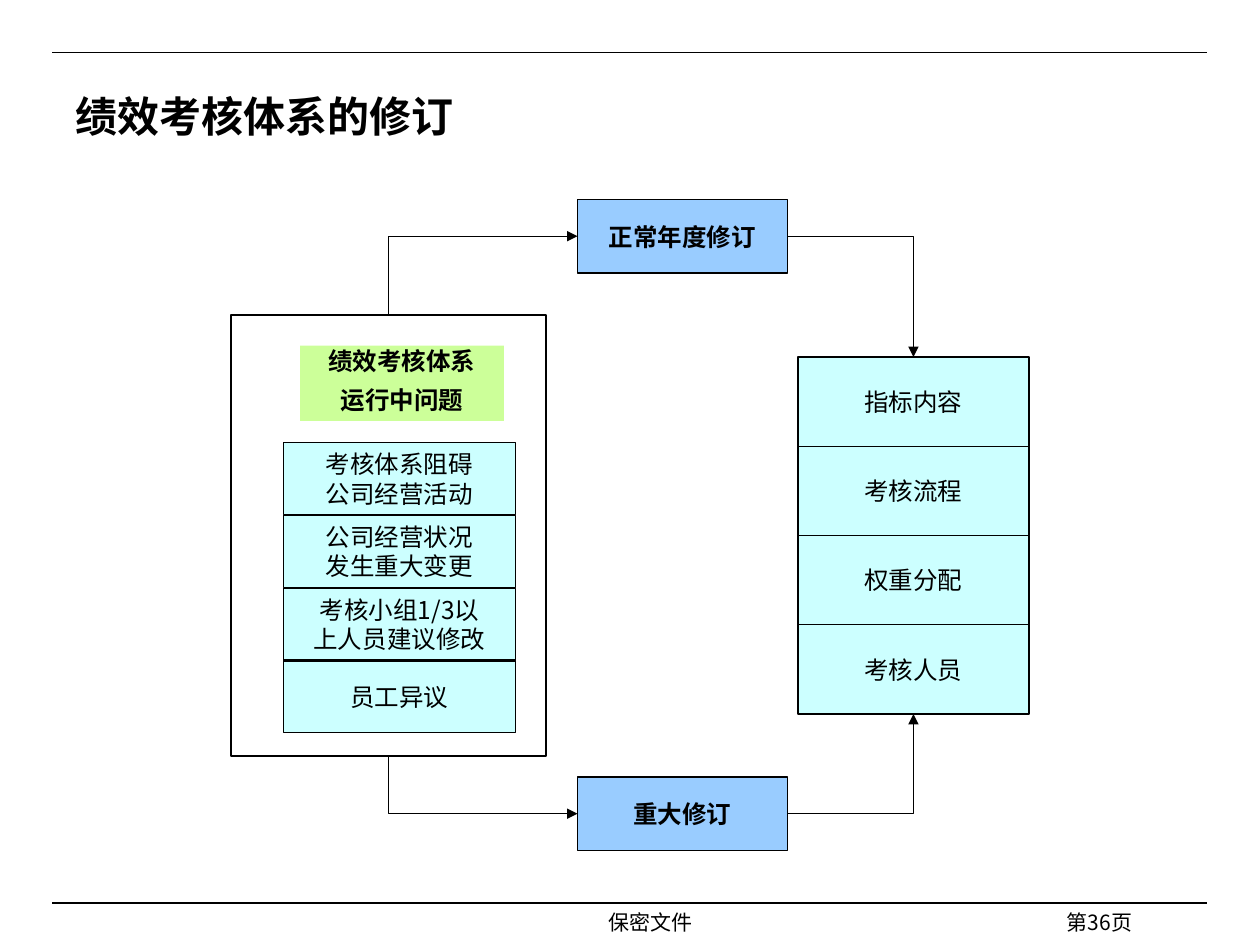
from lxml.etree import SubElement
from pptx import Presentation
from pptx.dml.color import RGBColor
from pptx.enum.shapes import MSO_CONNECTOR, MSO_SHAPE
from pptx.enum.text import MSO_ANCHOR, MSO_AUTO_SIZE, PP_ALIGN
from pptx.oxml.ns import qn
from pptx.util import Pt

BLACK = RGBColor(0x00, 0x00, 0x00)
CYAN = RGBColor(0xCC, 0xFF, 0xFF)
BLUE = RGBColor(0x99, 0xCC, 0xFF)
GREEN = RGBColor(0xCC, 0xFF, 0x99)
SANS = "Noto Sans CJK SC"
SERIF = "Times New Roman"
TOP, LEFT, BOTTOM, RIGHT = range(4)

PROBLEMS = [
    ["考核体系阻碍", "公司经营活动"],
    ["公司经营状况", "发生重大变更"],
    ["考核小组1/3以", "上人员建议修改"],
    ["员工异议"],
]
REVISED_ITEMS = ["指标内容", "考核流程", "权重分配", "考核人员"]


def write(tf, lines, size, bold=False, align=PP_ALIGN.CENTER, anchor=MSO_ANCHOR.MIDDLE, wrap=True):
    tf.word_wrap = wrap
    tf.vertical_anchor = anchor
    for i, line in enumerate(lines):
        p = tf.paragraphs[0] if i == 0 else tf.add_paragraph()
        p.text = line
        p.alignment = align
        p.font.name = SERIF if bold else SANS
        p.font.size = Pt(size)
        p.font.bold = bold
        p.font.color.rgb = BLACK
        SubElement(p.font._element, qn("a:ea"), typeface=SANS)


def add_box(s, x, y, w, h, fill=None, outlined=True):
    sp = s.shapes.add_shape(MSO_SHAPE.RECTANGLE, Pt(x), Pt(y), Pt(w), Pt(h))
    sp.shadow.inherit = False
    if fill is None:
        sp.fill.background()
    else:
        sp.fill.solid()
        sp.fill.fore_color.rgb = fill
    if outlined:
        sp.line.color.rgb = BLACK
        sp.line.width = Pt(0.75)
    else:
        sp.line.fill.background()
    return sp


def add_label_box(s, x, y, w, h, fill, lines, bold=False):
    sp = add_box(s, x, y, w, h, fill)
    write(sp.text_frame, lines, 14, bold, wrap=False)
    return sp


def style_connector(cn):
    cn.line.color.rgb = BLACK
    cn.line.width = Pt(0.75)
    SubElement(cn._element.spPr, qn("a:effectLst"))


def add_rule(s, y):
    style_connector(s.shapes.add_connector(MSO_CONNECTOR.STRAIGHT, Pt(30), Pt(y), Pt(690), Pt(y)))


def add_elbow_arrow(s, start, start_site, end, end_site):
    cn = s.shapes.add_connector(MSO_CONNECTOR.ELBOW, 0, 0, 0, 0)
    cn.begin_connect(start, start_site)
    cn.end_connect(end, end_site)
    cn._element.spPr.find(qn("a:prstGeom")).set("prst", "bentConnector2")
    if start_site in (TOP, BOTTOM):
        turn_upright(cn, start_site == TOP)
    style_connector(cn)
    SubElement(cn.line._get_or_add_ln(), qn("a:tailEnd"), type="triangle")


def turn_upright(cn, upward):
    x, y, w, h = cn.left, cn.top, cn.width, cn.height
    cn.left, cn.top = x + (w - h) // 2, y + (h - w) // 2
    cn.width, cn.height = h, w
    xfrm = cn._element.spPr.find(qn("a:xfrm"))
    xfrm.set("rot", str((90 if upward else 270) * 60000))
    xfrm.set("flipH", "1")
    xfrm.set("flipV", "1" if upward else "0")


def add_footer(s, x, w, h, text, align):
    tb = s.shapes.add_textbox(Pt(x), Pt(516), Pt(w), Pt(h))
    write(tb.text_frame, [text], 12, align=align, anchor=MSO_ANCHOR.TOP)


def add_title(s, text):
    title = s.shapes.title
    title.left, title.top, title.width, title.height = Pt(36), Pt(42), Pt(642), Pt(48)
    write(title.text_frame, [text], 24, bold=True, align=PP_ALIGN.LEFT)
    title.text_frame.auto_size = MSO_AUTO_SIZE.NONE


def add_heading(s, lines):
    sp = add_box(s, 171.5, 197.5, 116.5, 43, GREEN, outlined=False)
    write(sp.text_frame, lines, 14, bold=True, anchor=MSO_ANCHOR.TOP)
    for p in sp.text_frame.paragraphs:
        p.line_spacing = 0.8
    sp.text_frame.paragraphs[1].space_before = Pt(8.8)


def main():
    prs = Presentation()
    prs.slide_width, prs.slide_height = Pt(720), Pt(540)
    s = prs.slides.add_slide(prs.slide_layouts[5])

    add_rule(s, 30)
    add_rule(s, 516)
    add_footer(s, 210, 324, 18, "保密文件", PP_ALIGN.CENTER)
    add_footer(s, 504, 150, 12, "第36页", PP_ALIGN.RIGHT)
    add_title(s, "绩效考核体系的修订")

    items = [add_label_box(s, 456, 204 + 51 * i, 132, 51, CYAN, [text])
             for i, text in enumerate(REVISED_ITEMS)]
    annual = add_label_box(s, 330, 114, 120, 42, BLUE, ["正常年度修订"], bold=True)
    major = add_label_box(s, 330, 444, 120, 42, BLUE, ["重大修订"], bold=True)

    panel = add_box(s, 132, 180, 180, 252)
    add_heading(s, ["绩效考核体系", "运行中问题"])
    for i, lines in enumerate(PROBLEMS):
        add_label_box(s, 162, 253 + 41.6 * i, 132.5, 41, CYAN, lines)

    add_elbow_arrow(s, panel, TOP, annual, LEFT)
    add_elbow_arrow(s, panel, BOTTOM, major, LEFT)
    add_elbow_arrow(s, annual, RIGHT, items[0], TOP)
    add_elbow_arrow(s, major, RIGHT, items[-1], BOTTOM)

    prs.save("out.pptx")


if __name__ == "__main__":
    main()
